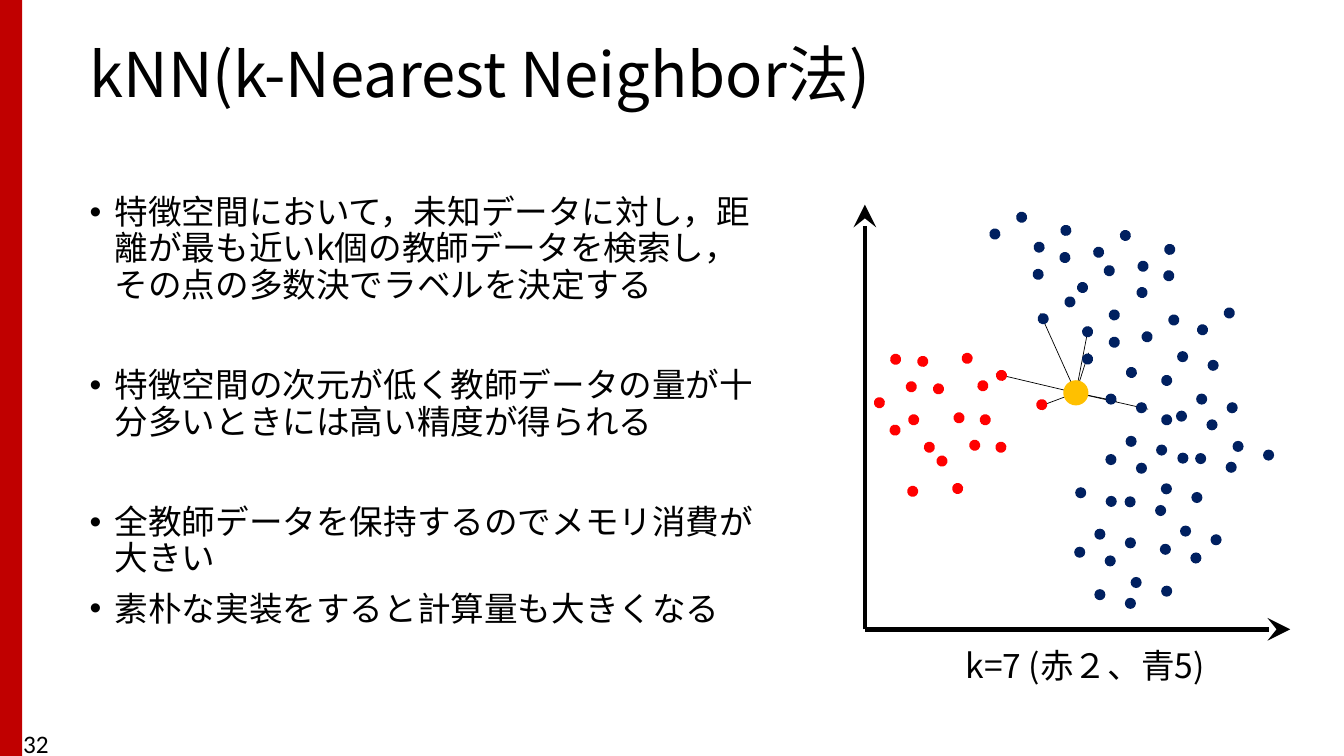
from pptx import Presentation
from pptx.dml.color import RGBColor as RGB
from pptx.enum.shapes import MSO_CONNECTOR as CONN, MSO_SHAPE as SHAPE
from pptx.enum.text import MSO_ANCHOR as ANCHOR
from pptx.oxml.ns import qn
from pptx.util import Pt
from lxml.etree import SubElement as Sub

THEME = {
    "black": "000000", "bar": "C00000", "red": "FF0000",
    "navy": "002060", "gold": "FFC000",
    "sans": "Noto Sans CJK JP", "num": "Calibri",
    "title": 44, "body": 24, "page": 18, "axis": 3.25, "thin": 0.5,
}

TITLE = "kNN(k-Nearest Neighbor法)"
# (text, space before)
POINTS = [
    ("特徴空間において，未知データに対し，距離が最も近いk個の教師データを検索し，その点の多数決でラベルを決定する", 0),
    ("特徴空間の次元が低く教師データの量が十分多いときには高い精度が得られる", 46),
    ("全教師データを保持するのでメモリ消費が大きい", 46),
    ("素朴な実装をすると計算量も大きくなる", 10),
]
LABEL = "k=7 (赤２、青5)"
PAGE = "32"

# Each pair start has a twin one step away; the lone dots have none.
CLUSTERS = [
    {"color": "red", "turn": 16.2, "step": (11.2, 19.6),
     "pairs": [(648.7, 295.9), (635.8, 252.7), (624.2, 283.7), (655.2, 254.2),
               (681.1, 294.5), (668.9, 325.4), (699.8, 295.9), (686.9, 252)],
     "lone": [(648, 347), (711.4, 264.2), (740.2, 285.1)]},
    {"color": "navy", "turn": 151.1, "step": (-21.8, -6.2),
     "pairs": [(825.8, 317.5), (825.1, 360.7), (811.4, 287.3), (811.4, 330.5),
               (864.7, 381.6), (851, 351.4), (850.3, 394.6), (803.5, 383.8),
               (803.5, 427), (789.8, 354.2), (789.1, 396.7), (829.4, 418.3),
               (876.2, 287.3), (875.5, 329.8), (862.6, 257), (861.8, 299.5),
               (902.2, 321.1)],
     "lone": [(841, 323.3)]},
    {"color": "navy", "turn": 103, "step": (-19.1, 12),
     "pairs": [(757.4, 160.6), (788.4, 189.4), (725.8, 151.2), (756.7, 180),
               (831.6, 174.2), (799.9, 164.2), (830.9, 193), (792, 221),
               (760.3, 211.7), (792, 240.5), (834.5, 224.6), (874.1, 219.6)],
     "lone": [(829.4, 295.9), (804.2, 262.1), (829.4, 267.8)]},
]
DOT, BIG = 7.9, 18
QUERY = (768.5, 280.6)
NEAR = [(743, 223.9), (797.8, 286.6), (820.1, 292.3), (740.9, 290.9),
        (777.6, 252), (777.6, 233.3), (711.4, 267.1)]
ORIGIN = (617.8, 449.5)
ENDS = [(921.6, 449.5), (617.8, 146.2)]

deck = Presentation()
deck.slide_width, deck.slide_height = Pt(960), Pt(540)
slide = deck.slides.add_slide(deck.slide_layouts[6])
shapes = slide.shapes


def color(key):
    return RGB.from_string(THEME[key])


def shape(kind, box, fill, turn=0):
    item = shapes.add_shape(kind, *map(Pt, box))
    item.shadow.inherit = False
    item.fill.solid()
    item.fill.fore_color.rgb = color(fill)
    item.line.fill.background()
    item.rotation = turn


def line(start, end, width, arrow=False):
    item = shapes.add_connector(CONN.STRAIGHT, *map(Pt, start + end))
    item.line.color.rgb = color("black")
    item.line.width = Pt(THEME[width])
    props = item._element.spPr
    if arrow:
        Sub(props.find(qn("a:ln")), qn("a:tailEnd"),
            {"type": "stealth", "w": "lg", "len": "lg"})
    Sub(props, qn("a:effectLst"))


def bullet(para):
    props = para._p.get_or_add_pPr()
    props.set("marL", str(Pt(18)))
    props.set("indent", str(-Pt(18)))
    Sub(props, qn("a:buFont"), typeface="Arial")
    Sub(props, qn("a:buChar"), char="•")


def text(box, rows, size, face="sans", dots=False, para={}, **frame):
    """Write rows of (text, space before) into a new text box."""
    body = shapes.add_textbox(*map(Pt, box)).text_frame
    for name, value in {"word_wrap": True, **frame}.items():
        setattr(body, name, value)
    for i, (words, gap) in enumerate(rows):
        row = body.add_paragraph() if i else body.paragraphs[0]
        for name, value in {**para, "space_before": Pt(gap)}.items():
            setattr(row, name, value)
        if dots:
            bullet(row)
        run = row.add_run()
        run.text = words
        looks = {"size": Pt(THEME[size]), "name": THEME[face]}
        for name, value in looks.items():
            setattr(run.font, name, value)
        run.font.color.rgb = color("black")
        Sub(run._r.get_or_add_rPr(), qn("a:ea"), typeface=THEME[face])


shape(SHAPE.RECTANGLE, (0, 0, 15.8, 543.6), "bar")
for spot in NEAR:
    line(spot, QUERY, "thin")

tight = {"line_spacing": 0.9}
text((56.9, 26.6, 867.6, 57.6), [(TITLE, 0)], "title", para=tight,
     vertical_anchor=ANCHOR.MIDDLE)
text((56.9, 136.1, 499.7, 346.3), POINTS, "body", dots=True, para=tight)

for end in ENDS:
    line(ORIGIN, end, "axis", arrow=True)
for group in CLUSTERS:
    dx, dy = group["step"]
    twins = [(x + dx, y + dy) for x, y in group["pairs"]]
    for x, y in group["pairs"] + twins + group["lone"]:
        shape(SHAPE.OVAL, (x, y, DOT, DOT), group["color"], group["turn"])
shape(SHAPE.OVAL, (QUERY[0] - BIG / 2, QUERY[1] - BIG / 2, BIG, BIG), "gold")

text((682.6, 457.2, 203.8, 36), [(LABEL, 0)], "body", word_wrap=False)
text((9.4, 517, 216, 28.8), [(PAGE, 0)], "page", face="num")

deck.save("out.pptx")
